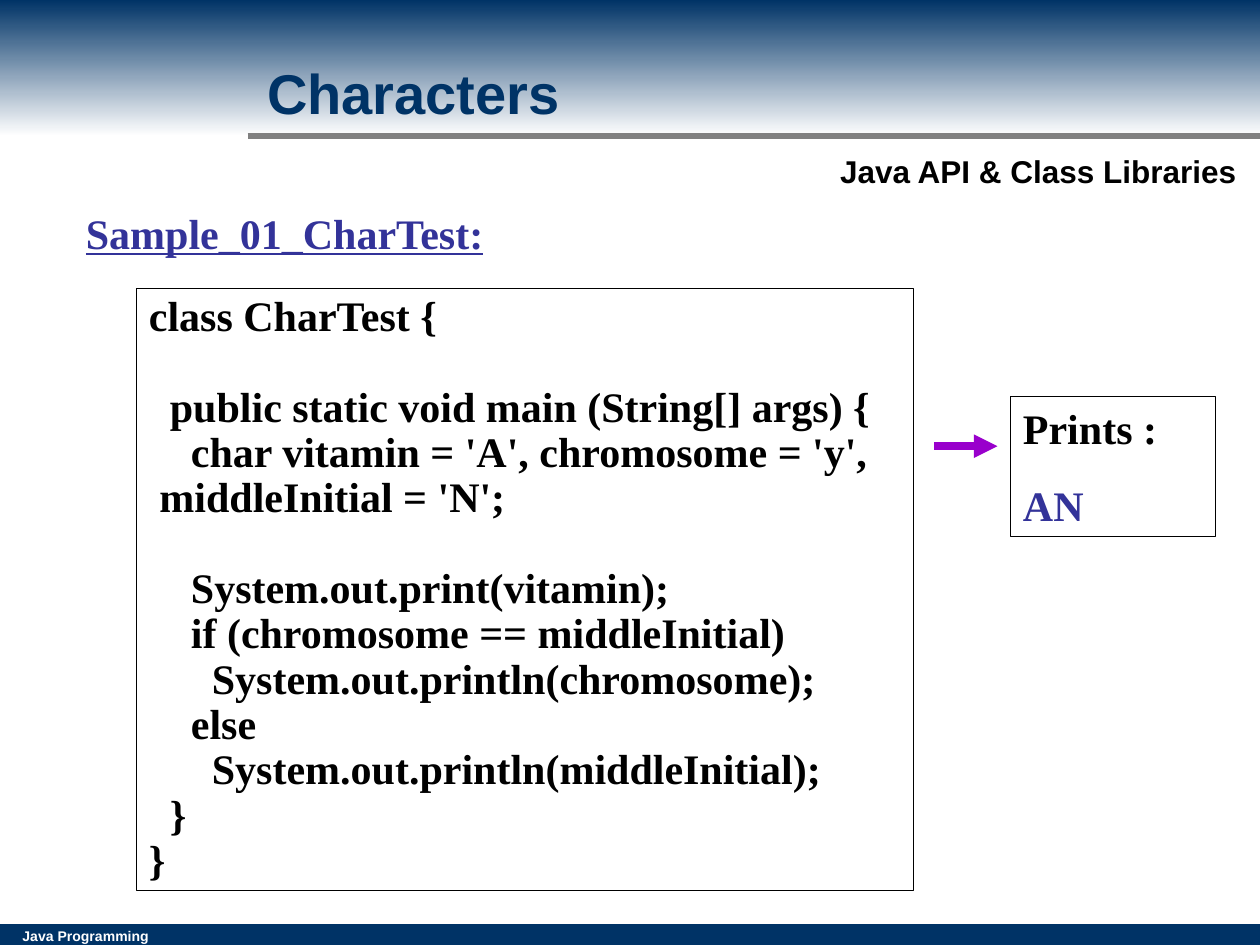
from pptx import Presentation
from pptx.dml.color import RGBColor
from pptx.enum.shapes import MSO_CONNECTOR as Connector, MSO_SHAPE as Shape
from pptx.enum.text import MSO_ANCHOR as Anchor, PP_ALIGN as Align
from pptx.oxml.ns import qn
from pptx.util import Pt
from lxml.etree import SubElement

NAVY, BLUE, BLACK, WHITE = "003366", "333399", "000000", "FFFFFF"
SERIF, SANS = "Times New Roman", "Arial"

# Code lines: text, left margin, first-line indent, space before
CODE = [
    ("class CharTest {", 0, 0, 0),
    ("public static void main (String[] args) {", 12, 0, 26),
    ("char vitamin = 'A', chromosome = 'y', middleInitial = 'N';", 6, 18, 0),
    ("System.out.print(vitamin);", 24, 0, 26),
    ("if (chromosome == middleInitial)", 24, 0, 0),
    ("System.out.println(chromosome);", 36, 0, 0),
    ("else", 24, 0, 0),
    ("System.out.println(middleInitial);", 36, 0, 0),
    ("}", 12, 0, 0),
    ("}", 0, 0, 0),
]


def color(value):
    return RGBColor.from_string(value)


def add_rect(page, left, top, width, height, fill=None, line=None):
    box = page.shapes.add_shape(Shape.RECTANGLE, Pt(left), Pt(top), Pt(width), Pt(height))
    box.shadow.inherit = False
    if fill:
        box.fill.solid()
        box.fill.fore_color.rgb = color(fill)
    else:
        box.fill.background()
    if line:
        box.line.color.rgb = color(line)
        box.line.width = Pt(0.75)
    else:
        box.line.fill.background()
    return box


def add_gradient(page, left, top, width, height, start, end):
    box = add_rect(page, left, top, width, height)
    box.fill.gradient()
    box.fill.gradient_angle = 270  # downwards
    for stop, value in zip(box.fill.gradient_stops, (start, end)):
        stop.color.rgb = color(value)


def add_line(page, left, right, y, value, width, arrow=False):
    line = page.shapes.add_connector(Connector.STRAIGHT, Pt(left), Pt(y), Pt(right), Pt(y))
    line.line.color.rgb = color(value)
    line.line.width = Pt(width)
    if arrow:
        SubElement(line.line._get_or_add_ln(), qn("a:tailEnd"), type="triangle")
    SubElement(line._element.spPr, qn("a:effectLst"))


def write(box, text, size=24, font=SERIF, value=BLACK, underline=None,
          margin=0, indent=0, before=0, spacing=None, first=True):
    frame = box.text_frame
    para = frame.paragraphs[0] if first else frame.add_paragraph()
    para.alignment = Align.LEFT
    para.space_before = Pt(before)
    if spacing:
        para.line_spacing = spacing
    props = para._p.get_or_add_pPr()
    props.set("marL", str(Pt(margin)))
    props.set("indent", str(Pt(indent)))
    span = para.add_run()
    span.text = text
    span.font.size = Pt(size)
    span.font.name = font
    span.font.bold = True
    span.font.underline = underline
    span.font.color.rgb = color(value)


def add_text(page, left, top, width, height, text, wrap=True, anchor=Anchor.TOP, **style):
    box = page.shapes.add_textbox(Pt(left), Pt(top), Pt(width), Pt(height))
    box.text_frame.word_wrap = wrap
    box.text_frame.vertical_anchor = anchor
    write(box, text, **style)


def add_frame(page, left, top, width, height):
    box = add_rect(page, left, top, width, height, line=BLACK)
    box.text_frame.word_wrap = True
    box.text_frame.vertical_anchor = Anchor.TOP
    return box


def main():
    deck = Presentation()
    deck.slide_width, deck.slide_height = Pt(720), Pt(540)
    page = deck.slides.add_slide(deck.slide_layouts[6])

    # Footer and header
    add_rect(page, 0, 528, 720, 12, fill=NAVY)
    add_text(page, 5.75, 526.5, 91, 17, "Java Programming", size=8, font=SANS, value=WHITE)
    add_gradient(page, 0, 0, 720, 77.75, NAVY, WHITE)
    add_line(page, 141.5, 720, 77.75, "808080", 3)
    add_text(page, 473, 83.5, 241, 29, "Java API & Class Libraries",
             wrap=False, size=18, font=SANS)

    # Code listing
    listing = add_frame(page, 78, 165, 444, 344)
    for number, (text, margin, indent, before) in enumerate(CODE):
        write(listing, text, margin=margin, indent=indent, before=before,
              spacing=0.9, first=number == 0)

    # Arrow to the printed result
    add_line(page, 534, 570, 255, "9900CC", 4.5, arrow=True)
    result = add_frame(page, 577.5, 226.5, 117, 80)
    write(result, "Prints :", before=15)
    write(result, "AN", value=BLUE, before=15, first=False)

    # Headings
    add_text(page, 42, 115, 327, 36, "Sample_01_CharTest:",
             value=BLUE, underline=True, before=15)
    add_text(page, 145.5, 16.5, 666, 72, "Characters",
             anchor=Anchor.MIDDLE, size=32, font=SANS, value=NAVY)

    deck.save("out.pptx")


if __name__ == "__main__":
    main()
